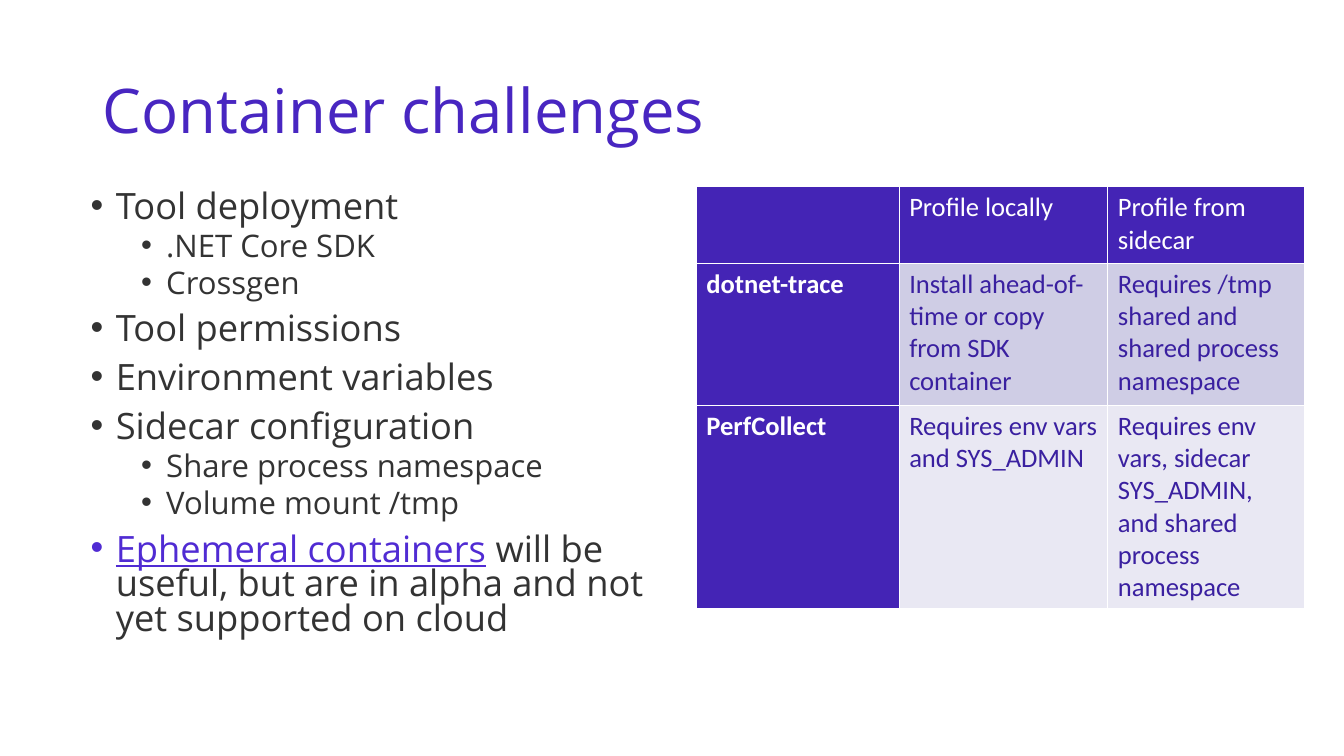
from lxml.etree import SubElement
from pptx import Presentation
from pptx.dml.color import RGBColor
from pptx.enum.text import MSO_ANCHOR, MSO_AUTO_SIZE, PP_ALIGN
from pptx.oxml import parse_xml
from pptx.oxml.ns import nsdecls, qn
from pptx.util import Cm, Pt

VIOLET = RGBColor(0x48, 0x26, 0xC1)
LINK = RGBColor(0x50, 0x2B, 0xD3)
GREY = RGBColor(0x33, 0x33, 0x33)
WHITE = RGBColor(0xFF, 0xFF, 0xFF)
HEAD = RGBColor(0x44, 0x24, 0xB5)
INK = RGBColor(0x3A, 0x20, 0xA0)
BANDS = [RGBColor(0xCF, 0xCD, 0xE5), RGBColor(0xE9, 0xE8, 0xF3)]

TITLE = "Container challenges"
# (level, linked text, plain text)
POINTS = [
    (0, "", "Tool deployment"),
    (1, "", ".NET Core SDK"),
    (1, "", "Crossgen"),
    (0, "", "Tool permissions"),
    (0, "", "Environment variables"),
    (0, "", "Sidecar configuration"),
    (1, "", "Share process namespace"),
    (1, "", "Volume mount /tmp"),
    (0, "Ephemeral containers",
     " will be useful, but are in alpha and not yet supported on cloud"),
]
ROWS = [
    ("", "Profile locally", "Profile from sidecar"),
    ("dotnet-trace", "Install ahead-of-time or copy from SDK container",
     "Requires /tmp shared and shared process namespace"),
    ("PerfCollect", "Requires env vars and SYS_ADMIN",
     "Requires env vars, sidecar SYS_ADMIN, and shared process namespace"),
]
WIDTHS = [Cm(5.11), Cm(5.26), Cm(4.95)]
HEIGHTS = [Cm(1.93), Cm(3.58), Cm(5.13)]
# For each level: text size, space before, left margin
LEVELS = [(25.9, 10, Cm(0.635)), (22.2, 5, Cm(1.905))]
HANG = Cm(0.635)


def place(shape, left, top, width, height):
    shape.left, shape.top = Cm(left), Cm(top)
    shape.width, shape.height = Cm(width), Cm(height)
    shape.text_frame.auto_size = MSO_AUTO_SIZE.NONE
    shape.text_frame.word_wrap = True


def write(para, text, face, size, color, bold=False):
    run = para.add_run()
    run.text = text
    font = run.font
    font.name, font.size, font.bold = face, Pt(size), bold
    font.color.rgb = color
    return run


def bullet(para, margin):
    props = para._p.get_or_add_pPr()
    props.set("marL", str(margin))
    props.set("indent", str(-HANG))
    SubElement(props, qn("a:buFont")).set("typeface", "Arial")
    SubElement(props, qn("a:buChar")).set("char", "•")


def border(cell):
    """Draw a thin white line on all four sides of the cell."""
    props = cell._tc.get_or_add_tcPr()
    for i, side in enumerate("LRTB"):
        props.insert(i, parse_xml(
            f'<a:ln{side} {nsdecls("a")} w="{Pt(1)}"><a:solidFill>'
            f'<a:srgbClr val="{WHITE}"/></a:solidFill></a:ln{side}>'))


def add_title(slide):
    title = slide.shapes.title
    place(title, 2.34, 1.02, 29.21, 3.68)
    title.text_frame.vertical_anchor = MSO_ANCHOR.MIDDLE
    para = title.text_frame.paragraphs[0]
    para.alignment = PP_ALIGN.LEFT
    para.line_spacing = 0.9
    write(para, TITLE, "Open Sans", 44, VIOLET)


def add_points(slide):
    body = slide.placeholders[1]
    place(body, 2.03, 4.7, 15.21, 12.09)
    frame = body.text_frame
    for i, (level, link, text) in enumerate(POINTS):
        para = frame.add_paragraph() if i else frame.paragraphs[0]
        size, gap, margin = LEVELS[level]
        bullet(para, margin)
        para.level = level
        para.line_spacing = 0.8
        para.space_before = Pt(gap if i else 0)
        if link:
            write(para, link, "Open Sans", size, LINK).font.underline = True
        write(para, text, "Open Sans", size, GREY)


def add_grid(slide):
    grid = slide.shapes.add_table(
        len(ROWS), len(WIDTHS), Cm(17.55), Cm(4.7),
        sum(WIDTHS), sum(HEIGHTS)).table
    for col, width in zip(grid.columns, WIDTHS):
        col.width = width
    for r, texts in enumerate(ROWS):
        grid.rows[r].height = HEIGHTS[r]
        for c, text in enumerate(texts):
            cell = grid.cell(r, c)
            dark = r == 0 or c == 0
            cell.fill.solid()
            cell.fill.fore_color.rgb = HEAD if dark else BANDS[r - 1]
            border(cell)
            if text:
                write(cell.text_frame.paragraphs[0], text, "Calibri", 19,
                      WHITE if dark else INK, bold=c == 0)


def main():
    deck = Presentation()
    deck.slide_width, deck.slide_height = Cm(33.87), Cm(19.05)
    slide = deck.slides.add_slide(deck.slide_layouts[1])
    add_title(slide)
    add_points(slide)
    add_grid(slide)
    deck.save("out.pptx")


if __name__ == "__main__":
    main()
